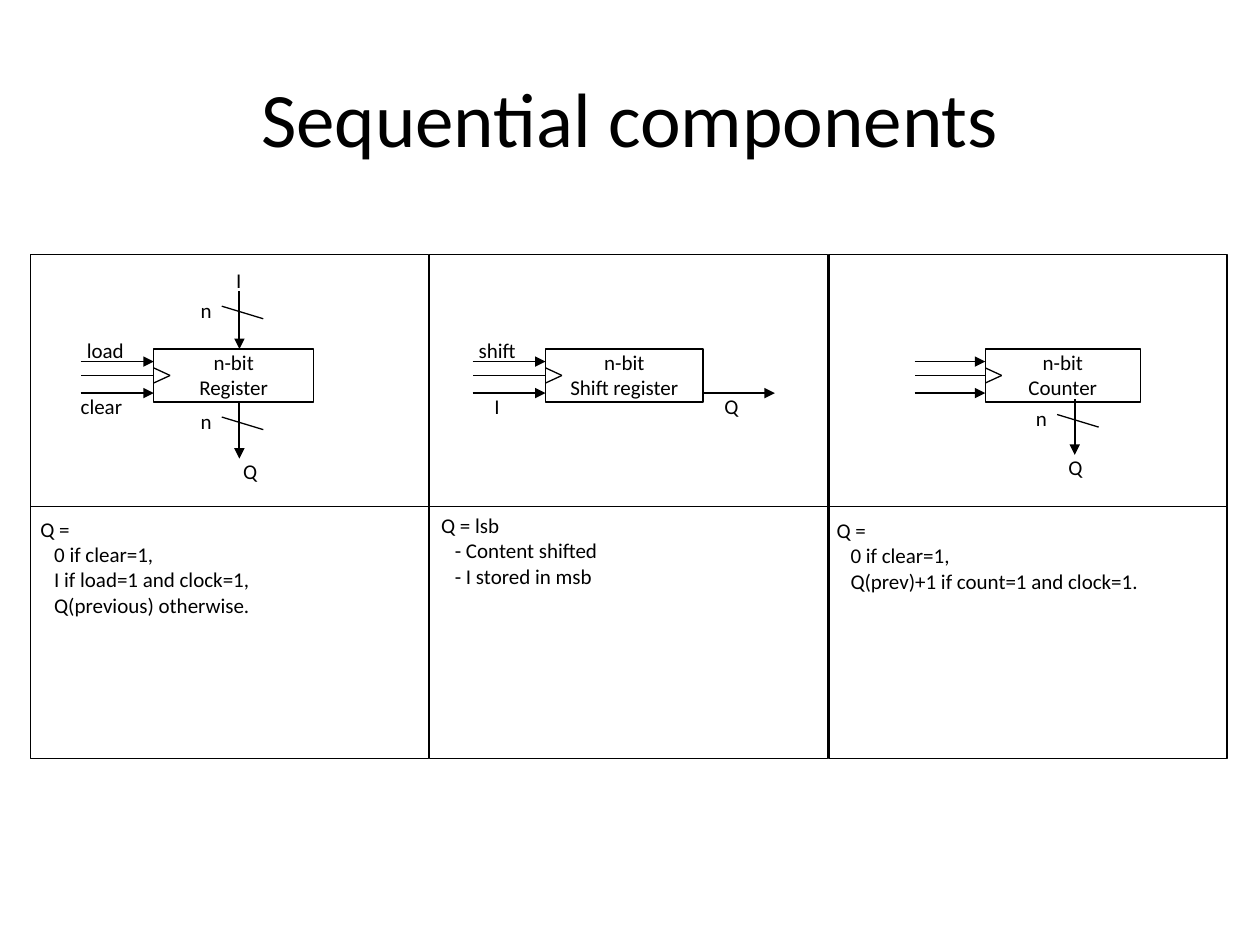
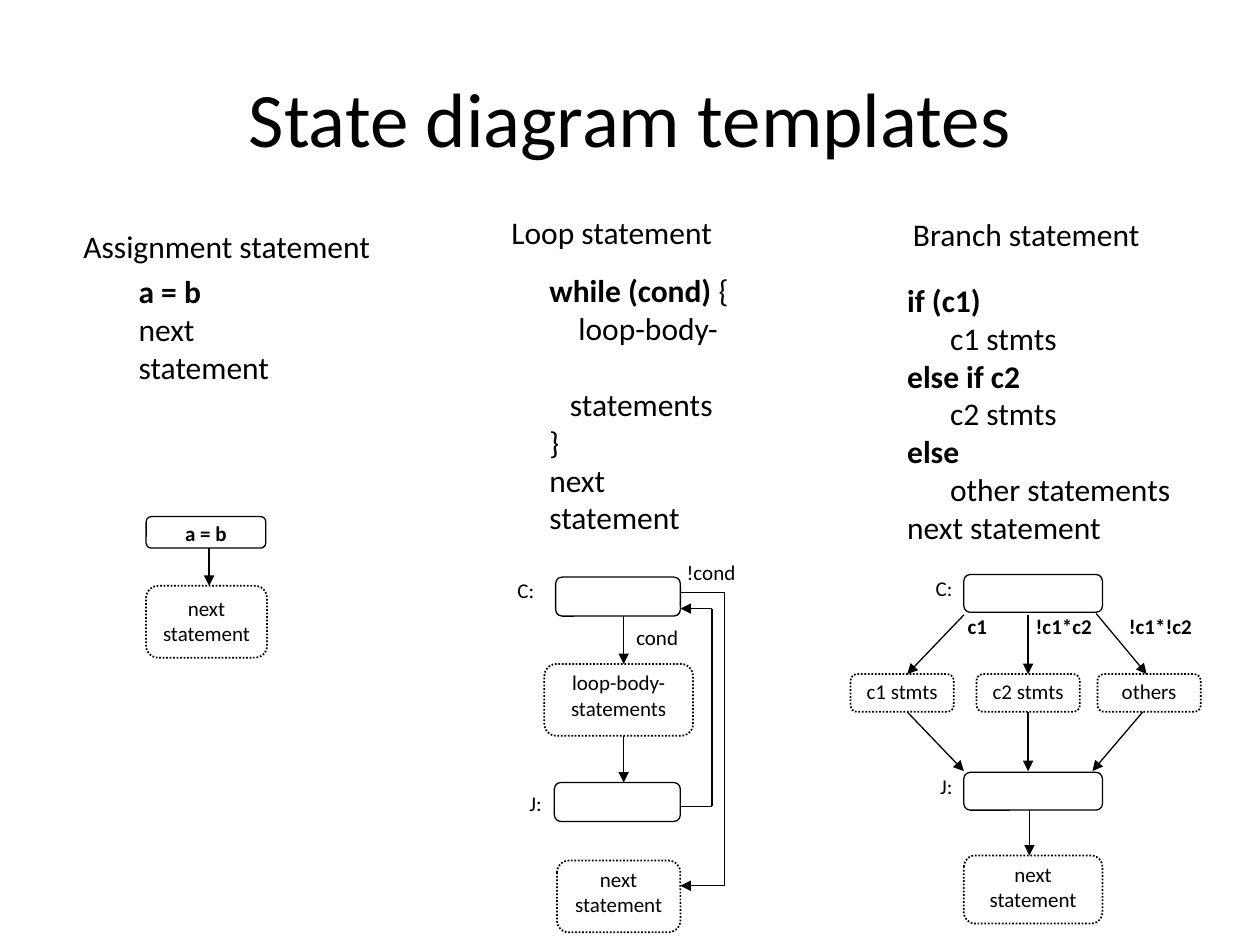
from itertools import pairwise

from lxml import etree
from pptx import Presentation
from pptx.dml.color import RGBColor
from pptx.enum.dml import MSO_LINE
from pptx.enum.shapes import MSO_CONNECTOR, MSO_SHAPE
from pptx.enum.text import MSO_ANCHOR, PP_ALIGN
from pptx.oxml.ns import qn
from pptx.util import Pt

PX = 9144  # EMU per px, 100 px to the inch
FONT = "Calibri"
COLORS = {"ink": "000000", "paper": "FFFFFF"}
LEFT, CENTER, RIGHT = PP_ALIGN.LEFT, PP_ALIGN.CENTER, PP_ALIGN.RIGHT
TOP_ANCHOR, MIDDLE_ANCHOR = MSO_ANCHOR.TOP, MSO_ANCHOR.MIDDLE
RECTANGLE, ROUNDED = MSO_SHAPE.RECTANGLE, MSO_SHAPE.ROUNDED_RECTANGLE
STRAIGHT, DOTTED = MSO_CONNECTOR.STRAIGHT, MSO_LINE.ROUND_DOT
TOP, LEFT_SIDE, BOTTOM = 0, 1, 2  # connection sites
STATE_INSETS = (10, 2, 10, 5)


def color(name):
    return RGBColor.from_string(COLORS[name])


def write(shape, text, size=12, bold=False, align=LEFT, anchor=TOP_ANCHOR,
          insets=(0, 0, 0, 0)):
    """Fill a shape with lines; a line is a string or a dict of its own format."""
    frame = shape.text_frame
    frame.word_wrap = True
    frame.vertical_anchor = anchor
    (frame.margin_left, frame.margin_top,
     frame.margin_right, frame.margin_bottom) = [inset * PX for inset in insets]
    lines = [text] if isinstance(text, str) else text
    for index, line in enumerate(lines):
        form = {"text": line} if isinstance(line, str) else line
        paragraph = frame.add_paragraph() if index else frame.paragraphs[0]
        paragraph.alignment = form.get("align", align)
        paragraph.space_before = Pt(form.get("before", 0))
        if "indent" in form:
            paragraph._p.get_or_add_pPr().set("marL", str(form["indent"] * PX))
        runs = [(form["text"], form.get("bold", bold))]
        if "plain_end" in form:
            runs.append((form["plain_end"], False))
        for words, heavy in runs:
            run = paragraph.add_run()
            run.text = words
            run.font.name = FONT
            run.font.size = Pt(size)
            run.font.bold = heavy
            run.font.color.rgb = color("ink")


class Deck:
    def __init__(self):
        self.presentation = Presentation()
        self.presentation.slide_width = 1000 * PX
        self.presentation.slide_height = 750 * PX
        self.slide = None

    def new_slide(self, title):
        self.slide = self.presentation.slides.add_slide(
            self.presentation.slide_layouts[6])
        self.label(50, 30, 900, 125, title, size=44, align=CENTER,
                   anchor=MIDDLE_ANCHOR, insets=(10, 5, 10, 5))

    def label(self, left, top, width, height, text, **form):
        shape = self.slide.shapes.add_textbox(
            left * PX, top * PX, width * PX, height * PX)
        write(shape, text, **form)

    def box(self, left, top, width, height, text=None, kind=RECTANGLE,
            filled=True, dotted=False, **form):
        shape = self.slide.shapes.add_shape(
            kind, left * PX, top * PX, width * PX, height * PX)
        shape.shadow.inherit = False
        if filled:
            shape.fill.solid()
            shape.fill.fore_color.rgb = color("paper")
        else:
            shape.fill.background()
        shape.line.color.rgb = color("ink")
        shape.line.width = Pt(1 if dotted else 0.75)
        if dotted:
            shape.line.dash_style = DOTTED
        if text:
            write(shape, text, align=CENTER, **form)
        return shape

    def state(self, left, top, width, height, text=None, insets=STATE_INSETS, **form):
        return self.box(left, top, width, height, text, kind=ROUNDED,
                        insets=insets, **form)

    def line(self, *points, width=0.75, arrow=False, begin=None, end=None):
        """Join the points with straight connectors; the last may have an arrowhead."""
        for (x1, y1), (x2, y2) in pairwise(points):
            connector = self.slide.shapes.add_connector(
                STRAIGHT, x1 * PX, y1 * PX, x2 * PX, y2 * PX)
            connector.line.color.rgb = color("ink")
            connector.line.width = Pt(width)
            properties = connector._element.spPr
            etree.SubElement(properties, qn("a:effectLst"))
        if arrow:
            head = etree.SubElement(properties.find(qn("a:ln")), qn("a:tailEnd"))
            head.set("type", "triangle")
        if begin:
            connector.begin_connect(*begin)
        if end:
            connector.end_connect(*end)

    def arrow(self, *points, **form):
        self.line(*points, arrow=True, **form)

    def component(self, left, width, name, wire_start):
        """A clocked block with two input arrows and a clock wire."""
        top, height = 277, 42
        clock = top + height // 2
        block = self.box(left, top, width, height, ["n-bit", name])
        for y in (287, 312):
            self.arrow((wire_start, y), (left, y))
        self.line((left, clock - 6), (left + 13, clock), (left, clock + 6))
        self.line((left, clock), (wire_start, clock), begin=(block, LEFT_SIDE))

    def bus(self, x, top, bottom):
        """A thick arrow, n bits wide, with its slash."""
        self.arrow((x, top), (x, bottom), width=1.25)
        self.line((x - 14, top + 12), (x + 19, top + 22))
        self.label(x - 34, top + 5, 15, 19, "n", align=CENTER)

    def signal(self, left, top, text):
        self.label(left, top, 39, 19, text, align=CENTER)


def indented(text, indent, **form):
    return {"text": text, "indent": indent, **form}


def sequential_components(deck):
    deck.new_slide("Sequential components")

    # Grid: diagrams above, behaviour below
    for top in (202, 402):
        for column in range(3):
            deck.box(24 + 317 * column, top, 316, 200, filled=False)

    # Behaviour
    behaviours = [
        (32, 410, "Q =", ["0 if clear=1,", "I if load=1 and clock=1,",
                          "Q(previous) otherwise."]),
        (350, 407, "Q = lsb", ["- Content shifted", "- I stored in msb"]),
        (664, 411, "Q =", ["0 if clear=1,", "Q(prev)+1 if count=1 and clock=1."]),
    ]
    for left, top, first, cases in behaviours:
        deck.label(left, top, 298, 174,
                   [first] + [indented(case, 11) for case in cases])

    # Register
    deck.component(122, 127, "Register", 64)
    deck.bus(190, 231, 277)
    deck.bus(190, 319, 364)

    # Shift register
    deck.component(433, 125, "Shift register", 375)
    deck.arrow((558, 312), (615, 312))

    # Counter
    deck.component(782, 123, "Counter", 726)
    deck.bus(853, 317, 361)

    # Signal names
    for left, top, text in [
            (64, 268, "load"), (61, 312, "clear"), (170, 212, "I"), (179, 364, "Q"),
            (375, 268, "shift"), (375, 312, "I"), (561, 312, "Q"), (834, 361, "Q")]:
        deck.signal(left, top, text)


def assignment_template(deck):
    deck.label(33, 180, 294, 23, "Assignment statement", size=18, align=CENTER)
    deck.label(110, 216, 121, 47,
               [{"text": "a = b", "bold": True}, "next statement"], size=18)
    deck.state(116, 410, 95, 25, "a = b", bold=True)
    deck.state(116, 465, 96, 57, "next statement", dotted=True,
               insets=(10, 5, 10, 5))
    deck.arrow((166, 435), (166, 465))


def loop_template(deck):
    deck.label(337, 169, 297, 31, "Loop statement", size=18, align=CENTER)
    deck.label(436, 215, 146, 91, [
        {"text": "while (cond)", "bold": True, "plain_end": " {"},
        indented("loop-body-", 11, align=CENTER),
        {"text": "statements", "align": CENTER, "before": 22},
        "}",
        "next statement"], size=18)

    # States
    deck.state(441, 458, 99, 31)
    deck.state(432, 527, 118, 57, ["loop-body-", "statements"], dotted=True)
    deck.state(440, 621, 100, 31)
    deck.state(442, 683, 98, 57, "next statement", dotted=True)

    # Transitions
    deck.arrow((495, 489), (495, 527))
    deck.arrow((495, 584), (495, 621))
    deck.arrow((540, 640), (565, 640), (565, 483), (540, 483))
    deck.arrow((540, 470), (575, 470), (575, 703), (540, 703))

    # Conditions and state names
    deck.label(505, 496, 46, 24, "cond")
    deck.label(545, 444, 41, 26, "!cond")
    deck.label(402, 458, 30, 31, "C:", align=RIGHT, insets=(0, 0, 8, 0))
    deck.label(402, 627, 30, 25, "J:", align=RIGHT, insets=(0, 0, 2, 0))


def branch_template(deck):
    deck.label(668, 171, 293, 40, "Branch statement", size=18, align=CENTER)
    code = []
    for keyword, body in [("if (c1)", "c1 stmts"), ("else if c2", "c2 stmts"),
                          ("else", "other statements")]:
        code += [{"text": keyword, "bold": True}, indented(body, 34)]
    deck.label(720, 223, 221, 152, code + ["next statement"], size=18)

    # States
    for top in (456, 613):
        deck.state(765, top, 110, 30)
    deck.state(765, 679, 110, 54, "next statement", dotted=True)
    _, second, _ = [
        deck.state(left, 535, 82, 30, text, dotted=True)
        for left, text in [(675, "c1 stmts"), (775, "c2 stmts"), (871, "others")]]

    # Transitions
    deck.arrow((765, 488), (720, 535))
    deck.arrow((816, 488), (816, 535), end=(second, TOP))
    deck.arrow((870, 487), (910, 535))
    deck.arrow((720, 565), (765, 612))
    deck.arrow((816, 565), (816, 612), begin=(second, BOTTOM))
    deck.arrow((907, 565), (867, 612))
    deck.arrow((817, 643), (817, 679))

    # Conditions and state names
    for left, width, text in [(768, 20, "c1"), (822, 50, "!c1*c2"),
                              (896, 66, "!c1*!c2")]:
        deck.label(left, 487, width, 24, text, bold=True)
    for top, text in [(457, "C:"), (614, "J:")]:
        deck.label(718, top, 40, 25, text, align=RIGHT, insets=(0, 0, 2, 0))


def main():
    deck = Deck()
    sequential_components(deck)
    deck.new_slide("State diagram templates")
    assignment_template(deck)
    loop_template(deck)
    branch_template(deck)
    deck.presentation.save("out.pptx")


if __name__ == "__main__":
    main()
